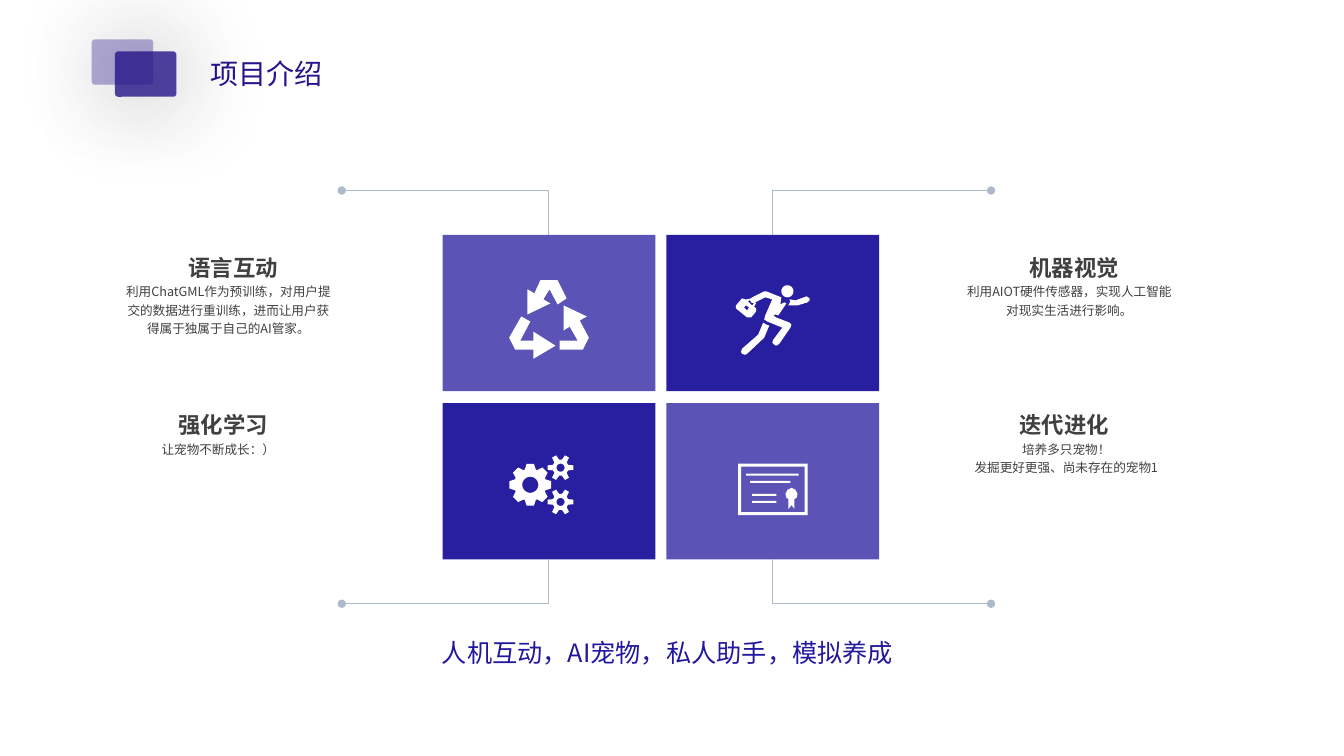
"""Build the project introduction slide with four feature tiles."""
from dataclasses import dataclass
from itertools import product
from math import cos, pi, radians, sin

from lxml.etree import SubElement
from pptx import Presentation
from pptx.dml.color import RGBColor
from pptx.enum.shapes import MSO_CONNECTOR as Connector, MSO_SHAPE as Preset
from pptx.enum.text import MSO_ANCHOR as Anchor, MSO_AUTO_SIZE as AutoSize, PP_ALIGN as Align
from pptx.oxml.ns import qn
from pptx.util import Inches, Pt

FONT = "Noto Sans CJK SC"
BADGE = RGBColor(0x26, 0x15, 0x8C)
NAVY = RGBColor(0x22, 0x18, 0x9D)
VIOLET = RGBColor(0x5B, 0x54, 0xB6)
LINK = RGBColor(0xAD, 0xBA, 0xCA)
DARK = RGBColor(0x40, 0x40, 0x40)
WHITE = RGBColor(0xFF, 0xFF, 0xFF)
TILE_W, TILE_H = 2.11, 1.55
TILE_LEFTS, TILE_TOPS = (4.39, 6.61), (2.33, 4.0)
DOT_XS, DOT_YS = (3.39, 9.83), (1.89, 5.99)

Contour = list[tuple[float, float]]


@dataclass
class Feature:
    heading: str
    lines: list[str]
    left: float
    top: float
    body_left: float
    body_height: float


FEATURES = [
    Feature("语言互动", ["利用ChatGML作为预训练，对用户提交的数据进行重训练，进而让用户获得属于独属于自己的AI管家。"],
            1.23, 2.33, 1.23, 0.63),
    Feature("强化学习", ["让宠物不断成长：）"], 1.13, 3.89, 1.13, 0.32),
    Feature("机器视觉", ["利用AIOT硬件传感器，实现人工智能对现实生活进行影响。"], 9.57, 2.33, 9.57, 0.54),
    Feature("迭代进化", ["培养多只宠物！", "发掘更好更强、尚未存在的宠物1"], 9.47, 3.89, 9.54, 0.32),
]


def box(left: float, top: float, right: float, bottom: float) -> Contour:
    return [(left, top), (right, top), (right, bottom), (left, bottom)]


def circle(x: float, y: float, radius: float) -> Contour:
    return [(x + radius * cos(i * pi / 16), y + radius * sin(i * pi / 16)) for i in range(32)]


def gear(x: float, y: float, teeth: int, outer: float, root: float, hole: float) -> list[Contour]:
    tooth = ((-20, root), (-10, outer), (10, outer), (20, root))
    rim = [(x + r * cos(radians(360 / teeth * i + turn)), y + r * sin(radians(360 / teeth * i + turn)))
           for i in range(teeth) for turn, r in tooth]
    return [rim, circle(x, y, hole)]


RECYCLING = [
    [(5.53, 2.78), (5.36, 2.78), (5.3, 2.91), (5.23, 2.87), (5.23, 3.12), (5.46, 3.01), (5.39, 2.97),
     (5.45, 2.87), (5.53, 3.02), (5.62, 2.96)],
    [(5.29, 3.38), (5.16, 3.38), (5.26, 3.19), (5.17, 3.14), (5.05, 3.35), (5.11, 3.47), (5.29, 3.47),
     (5.29, 3.56), (5.51, 3.43), (5.29, 3.29)],
    [(5.75, 3.18), (5.82, 3.14), (5.59, 3.03), (5.59, 3.28), (5.65, 3.24), (5.73, 3.38), (5.55, 3.38),
     (5.55, 3.47), (5.78, 3.47), (5.84, 3.35)],
]
CERTIFICATE = [
    box(7.32, 4.6, 8.01, 5.11), box(7.35, 4.63, 7.98, 5.08),
    box(7.4, 4.7, 7.92, 4.72), box(7.44, 4.77, 7.84, 4.79),
    box(7.46, 4.9, 7.7, 4.92), box(7.46, 4.97, 7.7, 4.99),
    [(7.88, 4.95), (7.88, 5.05), (7.85, 5.01), (7.82, 5.05), (7.82, 4.95), (7.8, 4.94), (7.79, 4.9),
     (7.81, 4.86), (7.85, 4.84), (7.89, 4.86), (7.91, 4.9), (7.9, 4.94)],
]
GEARS = [
    *gear(5.26, 4.81, 8, 0.21, 0.16, 0.08),
    *gear(5.56, 4.64, 6, 0.13, 0.08, 0.04),
    *gear(5.56, 4.98, 6, 0.13, 0.08, 0.04),
]
RUNNER = [
    circle(7.81, 2.89, 0.06),
    [(8.03, 2.96), (8, 2.94), (7.89, 2.98), (7.83, 2.97), (7.84, 2.99), (7.82, 3.03), (7.89, 3.03),
     (7.91, 3.03), (8.01, 3), (8.03, 2.98)],
    [(7.47, 3.02), (7.46, 3.03), (7.42, 2.99), (7.43, 2.98), (7.44, 2.98), (7.45, 3), (7.48, 3.01)],
    [(7.41, 3.08), (7.38, 3.05), (7.4, 3.03), (7.43, 3.05)],
    [(7.83, 3.2), (7.7, 3.15), (7.67, 3.13), (7.69, 3.12), (7.72, 3.13), (7.8, 3.01), (7.78, 3),
     (7.74, 3.02), (7.75, 2.95), (7.7, 2.93), (7.6, 2.89), (7.58, 2.89), (7.46, 2.95), (7.45, 2.96),
     (7.41, 2.97), (7.39, 2.97), (7.36, 2.96), (7.3, 3.03), (7.3, 3.06), (7.41, 3.15), (7.45, 3.15),
     (7.5, 3.09), (7.5, 3.06), (7.48, 3.04), (7.5, 3.01), (7.49, 3), (7.59, 2.95), (7.66, 2.97),
     (7.59, 3.13), (7.58, 3.17), (7.61, 3.19), (7.76, 3.25), (7.67, 3.37), (7.66, 3.4), (7.68, 3.42),
     (7.7, 3.43), (7.73, 3.41), (7.84, 3.25), (7.85, 3.22)],
    [(7.57, 3.2), (7.52, 3.32), (7.36, 3.46), (7.35, 3.49), (7.36, 3.51), (7.39, 3.52), (7.41, 3.51),
     (7.57, 3.36), (7.58, 3.35), (7.63, 3.23), (7.6, 3.22)],
]


def paint(shape, color: RGBColor, opacity: int = 100) -> None:
    shape.shadow.inherit = False
    shape.fill.solid()
    shape.fill.fore_color.rgb = color
    shape.line.fill.background()
    if opacity < 100:
        tint = shape._element.spPr.find(qn("a:solidFill")).find(qn("a:srgbClr"))
        SubElement(tint, qn("a:alpha"), val=str(opacity * 1000))


def add_badge(slide, left: float, top: float, opacity: int) -> None:
    badge = slide.shapes.add_shape(Preset.ROUNDED_RECTANGLE, Inches(left), Inches(top), Inches(0.61), Inches(0.45))
    badge.adjustments[0] = 0.07
    paint(badge, BADGE, opacity)
    effects = badge._element.spPr.find(qn("a:effectLst"))
    glow = SubElement(effects, qn("a:outerShdw"), blurRad=str(Pt(70)), dist=str(Pt(3)),
                      dir=str(45 * 60000), algn="tl", rotWithShape="0")
    shade = SubElement(glow, qn("a:srgbClr"), val="000000")
    SubElement(shade, qn("a:alpha"), val="40000")


def add_link(slide, column: int, row: int) -> None:
    tile_x = TILE_LEFTS[column] + TILE_W / 2
    tile_y = TILE_TOPS[row] + row * TILE_H
    link = slide.shapes.add_connector(Connector.ELBOW, Inches(DOT_XS[column]), Inches(DOT_YS[row]),
                                      Inches(tile_x), Inches(tile_y))
    link.line.color.rgb = LINK
    link.line.width = Pt(0.75)
    properties = link._element.spPr
    properties.find(qn("a:prstGeom")).set("prst", "bentConnector2")
    SubElement(properties.find(qn("a:ln")), qn("a:headEnd"), type="oval")
    SubElement(properties, qn("a:effectLst"))


def add_icon(slide, contours: list[Contour]) -> None:
    outlines = [[(Inches(x), Inches(y)) for x, y in contour] for contour in contours]
    builder = slide.shapes.build_freeform(*outlines[0][0])
    for number, outline in enumerate(outlines):
        if number:
            builder.move_to(*outline[0])
        builder.add_line_segments(outline[1:], close=True)
    paint(builder.convert_to_shape(), WHITE)


def write(frame, lines: list[str], size: float, color: RGBColor, align: Align = Align.CENTER,
          bold: bool = False, spacing: float = 1.0) -> None:
    frame.text = "\n".join(lines)
    for paragraph in frame.paragraphs:
        paragraph.alignment = align
        paragraph.line_spacing = spacing
        font = paragraph.font
        font.name, font.size, font.bold = FONT, Pt(size), bold
        font.color.rgb = color
        SubElement(paragraph._p.pPr.find(qn("a:defRPr")), qn("a:ea"), typeface=FONT)


def add_label(slide, left: float, top: float, width: float, height: float, wrap: bool = True, inset: float = 0):
    frame = slide.shapes.add_textbox(Inches(left), Inches(top), Inches(width), Inches(height)).text_frame
    frame.word_wrap = wrap
    frame.margin_left = frame.margin_right = Inches(inset)
    frame.margin_top = frame.margin_bottom = Inches(inset / 2)
    return frame


def add_feature(slide, feature: Feature) -> None:
    heading = add_label(slide, feature.left, feature.top, 2.17, 0.46, wrap=False)
    heading.vertical_anchor = Anchor.BOTTOM
    write(heading, [feature.heading], 16, DARK, bold=True)
    body = add_label(slide, feature.body_left, feature.top + 0.46, 2.07, feature.body_height)
    write(body, feature.lines, 9, DARK, spacing=1.2)


def main() -> None:
    deck = Presentation()
    deck.slide_width, deck.slide_height = Inches(13.33), Inches(7.5)
    slide = deck.slides.add_slide(deck.slide_layouts[5])
    title = slide.shapes.title
    title.left, title.top, title.width, title.height = Inches(1.99), Inches(0.51), Inches(3.15), Inches(0.44)
    title.text_frame.vertical_anchor = Anchor.TOP
    title.text_frame.auto_size = AutoSize.SHAPE_TO_FIT_TEXT
    write(title.text_frame, ["项目介绍"], 20, BADGE, Align.JUSTIFY)
    add_badge(slide, 1.14, 0.51, 80)
    add_badge(slide, 0.91, 0.39, 35)
    for column, row in product(range(2), range(2)):
        tile = slide.shapes.add_shape(Preset.RECTANGLE, Inches(TILE_LEFTS[column]), Inches(TILE_TOPS[row]),
                                      Inches(TILE_W), Inches(TILE_H))
        if column == row:
            paint(tile, VIOLET)
        else:
            paint(tile, NAVY, 97)
        add_link(slide, column, row)
    for icon in (RECYCLING, CERTIFICATE, GEARS, RUNNER):
        add_icon(slide, icon)
    for feature in FEATURES:
        add_feature(slide, feature)
    write(add_label(slide, 2.89, 6.27, 7.46, 0.46, inset=0.1), ["人机互动，AI宠物，私人助手，模拟养成"], 18, NAVY)
    deck.save("out.pptx")


if __name__ == "__main__":
    main()
